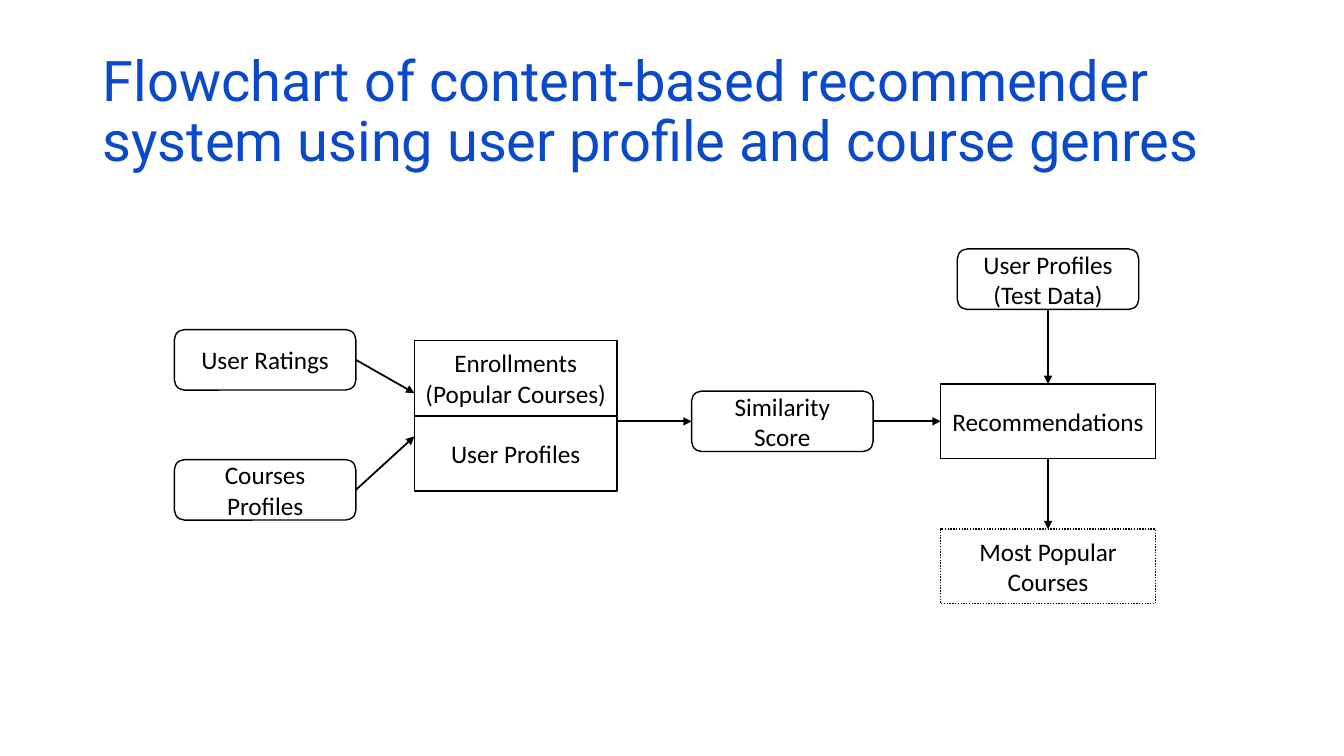
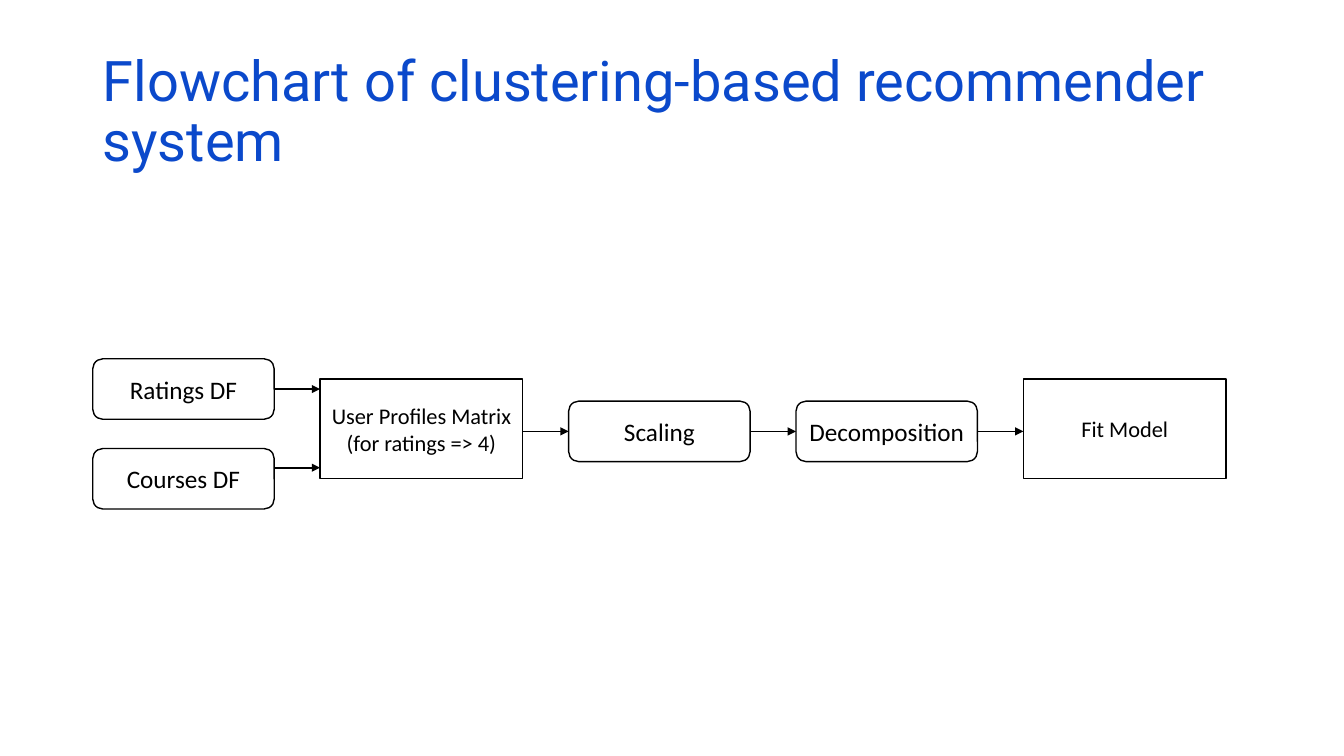
from pptx import Presentation
from pptx import util as u
from pptx.dml.color import RGBColor
from pptx.enum import dml, shapes, text
from pptx.oxml.ns import qn
from lxml import etree

COLORS = {"title": "0B49CB", "ink": "000000", "paper": "FFFFFF"}
TITLE_FONT, BODY_FONT = "Roboto", "Calibri"
TOP, LEFT, BOTTOM, RIGHT = range(4)
PILL_W, PILL_H = 1.8, 0.6


def color(name):
    return RGBColor.from_string(COLORS[name])


class Flowchart:
    """Style of the deck and the page being drawn."""

    def __init__(self):
        self.deck = Presentation()
        self.deck.slide_width = u.Inches(13.33)
        self.deck.slide_height = u.Inches(7.5)
        self.page = None

    def new_page(self, title):
        self.page = self.deck.slides.add_slide(self.deck.slide_layouts[6])
        box = self.page.shapes.add_textbox(
            u.Inches(0.92), u.Inches(0.4), u.Inches(11.5), u.Inches(1.45))
        self.label(box, title, 40, TITLE_FONT, "title", text.PP_ALIGN.LEFT)
        box.text_frame.paragraphs[0].line_spacing = 0.9

    def label(self, box, words, size, font, ink, align):
        frame = box.text_frame
        frame.word_wrap = True
        frame.vertical_anchor = text.MSO_ANCHOR.MIDDLE
        frame.text = words
        for para in frame.paragraphs:
            para.alignment = align
            for span in para.runs:
                span.font.size = u.Pt(size)
                span.font.name = font
                span.font.color.rgb = color(ink)

    def node(self, kind, words, x, y, width, height, size):
        box = self.page.shapes.add_shape(
            kind, u.Inches(x), u.Inches(y), u.Inches(width), u.Inches(height))
        box.shadow.inherit = False
        box.line.color.rgb = color("ink")
        box.line.width = u.Pt(1)
        self.label(box, words, size, BODY_FONT, "ink", text.PP_ALIGN.CENTER)
        return box

    def pill(self, words, x, y):
        box = self.node(shapes.MSO_SHAPE.ROUNDED_RECTANGLE, words, x, y,
                        PILL_W, PILL_H, 18)
        box.fill.background()
        return box

    def block(self, words, x, y, width, height, size=18, dotted=False):
        box = self.node(shapes.MSO_SHAPE.RECTANGLE, words, x, y,
                        width, height, size)
        box.fill.solid()
        box.fill.fore_color.rgb = color("paper")
        if dotted:
            box.line.dash_style = dml.MSO_LINE.ROUND_DOT
        return box

    def arrow(self, start, end):
        """Each end is a point (x, y) in inches or a pair (box, side)."""
        def is_point(place):
            return isinstance(place[0], (int, float))

        first, last = [
            (u.Inches(place[0]), u.Inches(place[1])) if is_point(place) else (0, 0)
            for place in (start, end)]
        line = self.page.shapes.add_connector(
            shapes.MSO_CONNECTOR.STRAIGHT, *first, *last)
        if not is_point(start):
            line.begin_connect(*start)
        if not is_point(end):
            line.end_connect(*end)
        line.line.color.rgb = color("ink")
        line.line.width = u.Pt(1.25)
        properties = line.element.spPr
        etree.SubElement(properties.find(qn("a:ln")), qn("a:tailEnd"), type="triangle")
        etree.SubElement(properties, qn("a:effectLst"))


def content_based(chart):
    chart.new_page("Flowchart of content-based recommender system "
                   "using user profile and course genres")
    # Inputs
    ratings = chart.pill("User Ratings", 1.73, 3.27)
    courses = chart.pill("Courses Profiles", 1.73, 4.56)
    # Stacked tables and similarity
    table_x, table_w, block_h = 4.11, 2.01, 0.74
    chart.block("Enrollments\n(Popular Courses)", table_x, 3.38, table_w, block_h)
    chart.block("User Profiles", table_x, 4.13, table_w, block_h)
    similarity = chart.pill("Similarity Score", 6.86, 3.88)
    # Result column
    result_x, result_w = 9.33, 2.13
    test_data = chart.pill("User Profiles (Test Data)",
                           result_x + (result_w - PILL_W) / 2, 2.47)
    result = chart.block("Recommendations", result_x, 3.81, result_w, block_h)
    popular = chart.block("Most Popular Courses", result_x, 5.25, result_w,
                          block_h, dotted=True)
    # Arrows
    chart.arrow((ratings, RIGHT), (table_x, 3.9))
    chart.arrow((courses, RIGHT), (table_x, 4.33))
    chart.arrow((table_x + table_w, 4.18), (similarity, LEFT))
    chart.arrow((similarity, RIGHT), (result, LEFT))
    chart.arrow((test_data, BOTTOM), (result, TOP))
    chart.arrow((result, BOTTOM), (popular, TOP))


def clustering_based(chart):
    chart.new_page("Flowchart of clustering-based recommender system")
    # Five columns with equal gaps
    left, right, block_w, block_h = 0.92, 12.16, 2.01, 0.99
    widths = [PILL_W, block_w, PILL_W, PILL_W, block_w]
    gap = (right - left - sum(widths)) / (len(widths) - 1)
    columns = [left + sum(widths[:i]) + i * gap for i in range(len(widths))]
    input_x, matrix_x, scaling_x, decomposition_x, model_x = columns
    block_y, pill_y = 3.76, 3.98
    flow_y = pill_y + PILL_H / 2
    # Boxes
    ratings = chart.pill("Ratings DF", input_x, 3.56)
    chart.pill("Courses DF", input_x, 4.45)
    chart.block("User Profiles Matrix (for ratings => 4)", matrix_x, block_y,
                block_w, block_h, size=16)
    scaling = chart.pill("Scaling", scaling_x, pill_y)
    decomposition = chart.pill("Decomposition", decomposition_x, pill_y)
    chart.block("Fit Model", model_x, block_y, block_w, block_h, size=16)
    # Arrows
    chart.arrow((ratings, RIGHT), (matrix_x, 3.86))
    chart.arrow((input_x + PILL_W, 4.64), (matrix_x, 4.64))
    chart.arrow((matrix_x + block_w, flow_y), (scaling, LEFT))
    chart.arrow((scaling, RIGHT), (decomposition, LEFT))
    chart.arrow((decomposition, RIGHT), (model_x, flow_y))


def main():
    chart = Flowchart()
    content_based(chart)
    clustering_based(chart)
    chart.deck.save("out.pptx")


if __name__ == "__main__":
    main()
